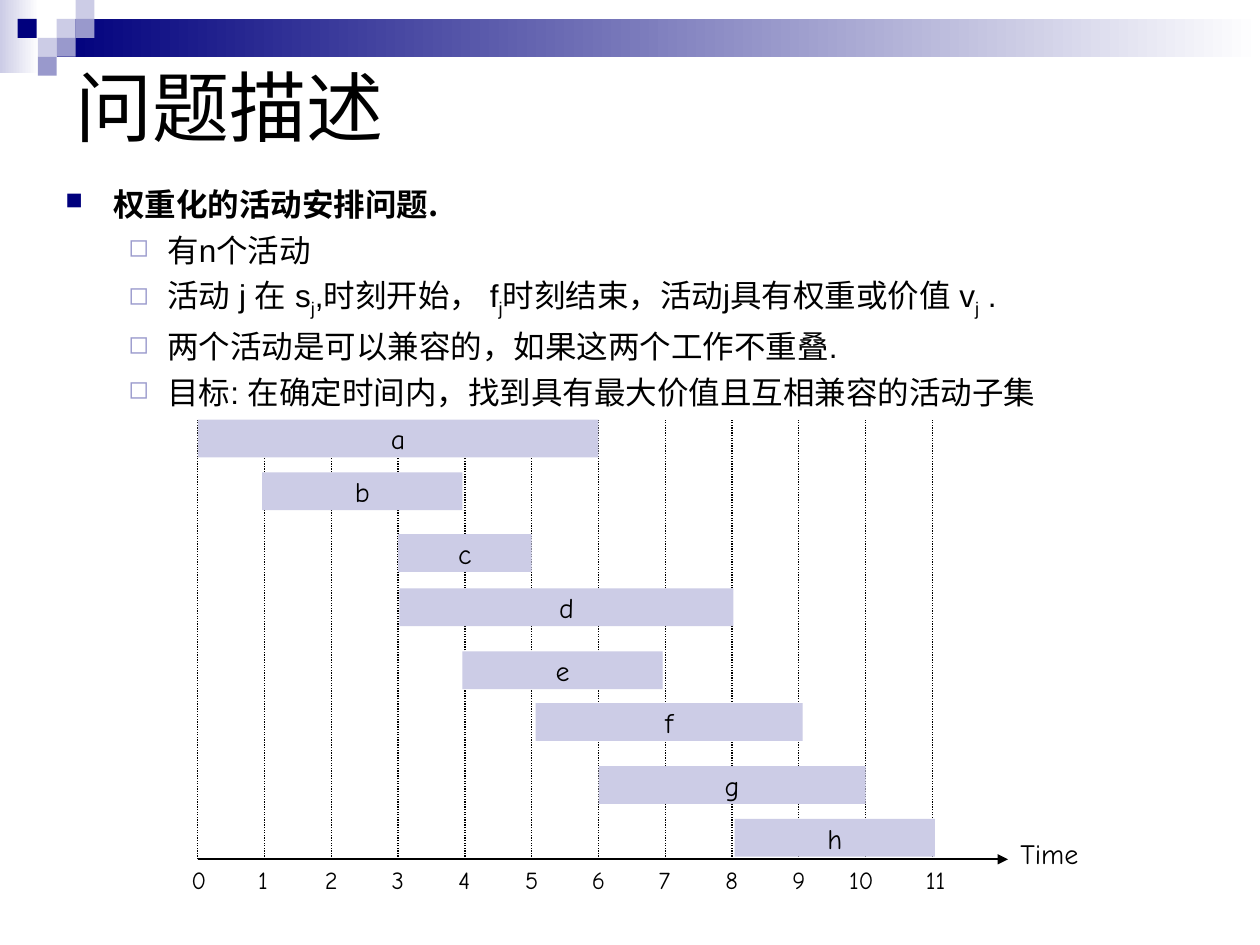
from lxml import etree
from pptx import Presentation
from pptx.dml.color import RGBColor
from pptx.enum.dml import MSO_LINE
from pptx.enum.shapes import MSO_CONNECTOR, MSO_SHAPE
from pptx.enum.text import MSO_ANCHOR, PP_ALIGN
from pptx.oxml.ns import qn
from pptx.util import Inches, Pt

RECTANGLE = MSO_SHAPE.RECTANGLE
STRAIGHT = MSO_CONNECTOR.STRAIGHT
DOTTED = MSO_LINE.ROUND_DOT
MIDDLE = MSO_ANCHOR.MIDDLE
LEFT, CENTER = PP_ALIGN.LEFT, PP_ALIGN.CENTER

THEME = {
    "navy": "00007D", "mid": "9999CC", "pale": "CCCCE6",
    "white": "FFFFFF", "black": "000000",
    "font": "Arial", "heading_font": "Noto Sans CJK SC", "chart_font": "Comic Neue",
    "title_size": 44, "body_size": 18, "label_size": 16, "tick_size": 14,
}

TITLE = "问题描述"
HEADING = "权重化的活动安排问题."
# Each point is a list of pieces; a piece at an odd position is a subscript.
POINTS = [
    ["有n个活动"],
    ["活动 j 在 s", "j", ",时刻开始， f", "j", "时刻结束，活动j具有权重或价值 v", "j", " ."],
    ["两个活动是可以兼容的，如果这两个工作不重叠."],
    ["目标: 在确定时间内，找到具有最大价值且互相兼容的活动子集"],
]

# Activity name, left edge, duration in time units, top edge
ACTIVITIES = [
    ("a", 1.57, 6, 3.33), ("b", 2.08, 3, 3.75), ("c", 3.16, 2, 4.24),
    ("d", 3.17, 5, 4.67), ("e", 3.67, 3, 5.17), ("f", 4.25, 4, 5.58),
    ("g", 4.75, 4, 6.08), ("h", 5.83, 3, 6.5),
]
LAST_TICK = 11
TICK_NUDGE = {10: -0.08}
ORIGIN, UNIT = 1.57, 0.53
CHART_TOP, AXIS_Y, AXIS_END = 3.33, 6.82, 8
BAR_HEIGHT = 0.3

GRADIENTS = [("pale", 0, 0, 0.31, 0.58), ("navy", 0.45, 0.15, 9.55, 0.3)]
SQUARE = 0.15
SQUARES = [
    ("pale", 0.45, 0.15), ("pale", 0.6, 0), ("mid", 0.6, 0.15), ("pale", 0.3, 0.3),
    ("navy", 0.14, 0.15), ("mid", 0.45, 0.3), ("mid", 0.3, 0.45),
]


def color(name):
    return RGBColor.from_string(THEME[name])


def format_run(run, size, font="font", bold=False):
    run.font.size = Pt(THEME[size])
    run.font.name = THEME[font]
    run.font.bold = bold
    run.font.color.rgb = color("black")
    east_asian = etree.SubElement(run.font._element, qn("a:ea"))
    east_asian.set("typeface", THEME[font])


def add_rectangle(slide, left, top, width, height, fill=None):
    shape = slide.shapes.add_shape(
        RECTANGLE, Inches(left), Inches(top), Inches(width), Inches(height))
    shape.shadow.inherit = False
    shape.line.fill.background()
    if fill:
        shape.fill.solid()
        shape.fill.fore_color.rgb = color(fill)
    return shape


def add_line(slide, start, end, width):
    line = slide.shapes.add_connector(STRAIGHT, *(Inches(value) for value in start + end))
    line.line.color.rgb = color("black")
    line.line.width = Pt(width)
    etree.SubElement(line._element.spPr, qn("a:effectLst"))
    return line


def add_text_box(slide, left, top, width, height):
    box = slide.shapes.add_textbox(Inches(left), Inches(top), Inches(width), Inches(height))
    box.text_frame.word_wrap = True
    return box.text_frame


def add_label(slide, text, left, top, width, height, size):
    paragraph = add_text_box(slide, left, top, width, height).paragraphs[0]
    paragraph.text = text
    paragraph.space_before = Pt(THEME[size] * 0.625)
    format_run(paragraph.runs[0], size, "chart_font")


def set_bullet(paragraph, character, fill, percent, margin, hanging):
    paragraph.space_before = Pt(4.5)
    properties = paragraph._p.get_or_add_pPr()
    properties.set("marL", str(Inches(margin)))
    properties.set("indent", str(-Inches(hanging)))
    bullet_color = etree.SubElement(properties, qn("a:buClr"))
    etree.SubElement(bullet_color, qn("a:srgbClr")).set("val", THEME[fill])
    etree.SubElement(properties, qn("a:buSzPct")).set("val", str(percent * 1000))
    etree.SubElement(properties, qn("a:buChar")).set("char", character)


def add_decoration(slide):
    for fill, *box in GRADIENTS:
        gradient = add_rectangle(slide, *box).fill
        gradient.gradient()
        gradient.gradient_angle = 0
        for stop, name, position in zip(gradient.gradient_stops, (fill, "white"), (0, 1)):
            stop.color.rgb = color(name)
            stop.position = position
    for fill, left, top in SQUARES:
        add_rectangle(slide, left, top, SQUARE, SQUARE, fill)


def add_title(slide):
    title = slide.shapes.title
    title.left, title.top = Inches(0.5), Inches(0.5)
    title.width, title.height = Inches(9), Inches(0.67)
    title.text_frame.text = TITLE
    title.text_frame.vertical_anchor = MIDDLE
    paragraph = title.text_frame.paragraphs[0]
    paragraph.alignment = LEFT
    format_run(paragraph.runs[0], "title_size")


def add_body(slide):
    frame = add_text_box(slide, 0.42, 1.42, 9, 1.9)
    heading = frame.paragraphs[0]
    heading.text = HEADING
    set_bullet(heading, "■", "navy", 75, 0.38, 0.38)
    format_run(heading.runs[0], "body_size", "heading_font", bold=True)
    for pieces in POINTS:
        paragraph = frame.add_paragraph()
        paragraph.level = 1
        set_bullet(paragraph, "◻", "mid", 80, 0.81, 0.31)
        for index, piece in enumerate(pieces):
            run = paragraph.add_run()
            run.text = piece
            format_run(run, "body_size")
            if index % 2:
                run.font._element.set("baseline", "-25000")


def add_timeline(slide):
    axis = add_line(slide, (ORIGIN, AXIS_Y), (AXIS_END, AXIS_Y), 1.25)
    etree.SubElement(axis.line._get_or_add_ln(), qn("a:tailEnd")).set("type", "triangle")
    add_label(slide, "Time", AXIS_END, 6.59, 0.83, 0.37, "label_size")
    for tick in range(LAST_TICK + 1):
        x = ORIGIN + tick * UNIT
        grid_line = add_line(slide, (x, AXIS_Y), (x, CHART_TOP), 0.75)
        grid_line.line.dash_style = DOTTED
        add_label(slide, str(tick), x - 0.15 + TICK_NUDGE.get(tick, 0), AXIS_Y,
                  0.46, 0.33, "tick_size")
    for name, left, duration, top in ACTIVITIES:
        bar = add_rectangle(slide, left, top, duration * UNIT, BAR_HEIGHT, "pale")
        frame = bar.text_frame
        frame.text = name
        frame.word_wrap = False
        frame.vertical_anchor = MIDDLE
        frame.paragraphs[0].alignment = CENTER
        format_run(frame.paragraphs[0].runs[0], "label_size", "chart_font")


def main():
    presentation = Presentation()
    presentation.slide_width, presentation.slide_height = Inches(10), Inches(7.5)
    slide = presentation.slides.add_slide(presentation.slide_layouts[5])
    add_decoration(slide)
    add_title(slide)
    add_body(slide)
    add_timeline(slide)
    presentation.save("out.pptx")


if __name__ == "__main__":
    main()
